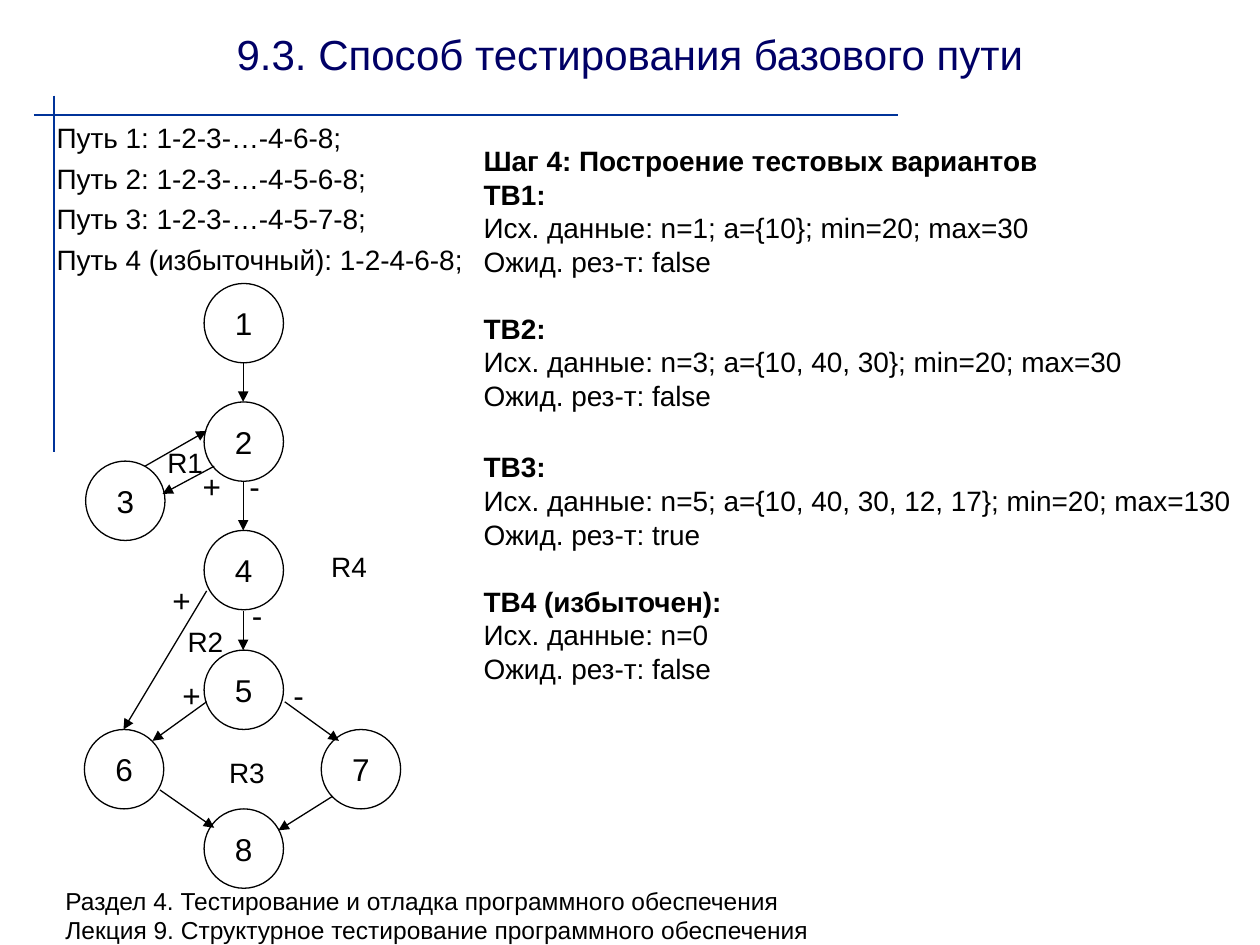
from lxml import etree
from pptx import Presentation
from pptx.dml.color import RGBColor
from pptx.enum.shapes import MSO_CONNECTOR, MSO_SHAPE
from pptx.enum.text import MSO_ANCHOR, PP_ALIGN
from pptx.oxml.ns import qn
from pptx.util import Inches, Pt

DIAMETER = 0.63
NODES = {
    "1": (1.62, 2.25), "2": (1.62, 3.19), "4": (1.62, 4.21), "3": (0.68, 3.66),
    "5": (1.62, 5.16), "8": (1.62, 6.42), "7": (2.55, 5.79), "6": (0.67, 5.79),
}
EDGES = [
    (1.93, 2.88, 1.93, 3.19), (1.93, 3.82, 1.93, 4.21), (1.15, 3.7, 1.64, 3.42),
    (1.7, 3.7, 1.29, 3.92), (1.93, 4.85, 1.93, 5.16), (1.64, 4.69, 0.98, 5.79),
    (2.26, 5.57, 2.69, 5.88), (1.64, 5.57, 1.21, 5.88), (1.27, 6.27, 1.7, 6.57),
    (2.64, 6.32, 2.21, 6.59),
]
BRANCHES = [
    ("+", 1.51, 3.66), ("+", 1.27, 4.56), ("+", 1.35, 5.32),
    ("-", 2.23, 5.32), ("-", 1.9, 4.68), ("-", 1.88, 3.66),
]
REGIONS = [("R1", 1.23, 3.49), ("R2", 1.39, 4.91), ("R3", 1.72, 5.95), ("R4", 2.53, 4.31)]
LABEL_WIDTHS = {"+": 0.34, "-": 0.28}
PATHS = [
    "Путь 1: 1-2-3-…-4-6-8;",
    "Путь 2: 1-2-3-…-4-5-6-8;",
    "Путь 3: 1-2-3-…-4-5-7-8;",
    "Путь 4 (избыточный): 1-2-4-6-8;",
]
TESTS = [
    ("ТВ1:", "n=1; a={10}; min=20; max=30", "false", 0),
    ("ТВ2:", "n=3; a={10, 40, 30}; min=20; max=30", "false", 19.2),
    ("ТВ3:", "n=5; a={10, 40, 30, 12, 17}; min=20; max=130", "true", 21.6),
    ("ТВ4 (избыточен):", "n=0", "false", 19.2),
]
FOOTER = [
    "Раздел 4. Тестирование и отладка программного обеспечения",
    "Лекция 9. Структурное тестирование программного обеспечения",
]


def rgb(value):
    """Turn a hex string into a colour."""
    return RGBColor.from_string(value)


def add_text(tf, text, size=16, color="000000", bold=False, align=PP_ALIGN.LEFT,
             before=0, leading=None):
    """Add one formatted paragraph, using the empty first one if there is one."""
    p = tf.paragraphs[0] if not tf.text else tf.add_paragraph()
    p.alignment = align
    p.space_before = Pt(before)
    if leading:
        p.line_spacing = Pt(leading)
    r = p.add_run()
    r.text = text
    r.font.name = "Arial"
    r.font.size = Pt(size)
    r.font.bold = bold
    r.font.color.rgb = rgb(color)


def add_box(s, x, y, w, h, wrap=True):
    """Add a text box and return its text frame."""
    tf = s.shapes.add_textbox(Inches(x), Inches(y), Inches(w), Inches(h)).text_frame
    tf.word_wrap = wrap
    return tf


def add_title(s, text):
    """Place and fill the title placeholder."""
    title = s.shapes.title
    title.left, title.top = Inches(0.5), Inches(0.08)
    title.width, title.height = Inches(9), Inches(0.69)
    title.text_frame.vertical_anchor = MSO_ANCHOR.MIDDLE
    add_text(title.text_frame, text, size=24, color="000066", align=PP_ALIGN.CENTER)


def add_line(s, x1, y1, x2, y2, color="000000", width=0.75, arrow=False):
    """Add a straight line, with an arrowhead at its end if asked."""
    line = s.shapes.add_connector(
        MSO_CONNECTOR.STRAIGHT, Inches(x1), Inches(y1), Inches(x2), Inches(y2))
    line.line.color.rgb = rgb(color)
    line.line.width = Pt(width)
    if arrow:
        etree.SubElement(line.line._get_or_add_ln(), qn("a:tailEnd"), type="triangle")
    etree.SubElement(line._element.spPr, qn("a:effectLst"))


def add_node(s, text, x, y):
    """Add a numbered circle of the flow graph."""
    sp = s.shapes.add_shape(
        MSO_SHAPE.OVAL, Inches(x), Inches(y), Inches(DIAMETER), Inches(DIAMETER))
    sp.shadow.inherit = False
    sp.fill.background()
    sp.line.color.rgb = rgb("000000")
    sp.line.width = Pt(0.75)
    tf = sp.text_frame
    tf.word_wrap = False
    tf.vertical_anchor = MSO_ANCHOR.MIDDLE
    add_text(tf, text, size=18, align=PP_ALIGN.CENTER)


def add_label(s, text, x, y, size, height):
    """Add a short centred label to the graph."""
    tf = add_box(s, x, y, LABEL_WIDTHS.get(text, 0.48), height, wrap=False)
    add_text(tf, text, size=size, align=PP_ALIGN.CENTER)


def add_graph(s):
    """Add the nodes, edges and labels of the flow graph."""
    for text, (x, y) in NODES.items():
        add_node(s, text, x, y)
    for edge in EDGES:
        add_line(s, *edge, arrow=True)
    for label in BRANCHES:
        add_label(s, *label, size=18, height=0.4)
    for label in REGIONS:
        add_label(s, *label, size=16, height=0.37)


def add_tests(s):
    """Add the list of test cases."""
    tf = add_box(s, 3.74, 1.09, 6.3, 5.2)
    add_text(tf, "Шаг 4: Построение тестовых вариантов", bold=True, leading=19.2)
    for name, data, result, gap in TESTS:
        add_text(tf, name, bold=True, before=gap, leading=19.2)
        add_text(tf, f"Исх. данные: {data}", leading=19.2)
        add_text(tf, f"Ожид. рез-т: {result}", leading=19.2)


def main():
    """Build the slide and save it."""
    prs = Presentation()
    prs.slide_width, prs.slide_height = Inches(10), Inches(7.5)
    s = prs.slides.add_slide(prs.slide_layouts[5])
    add_line(s, 0.27, 0.91, 7.13, 0.91, color="003399", width=1)
    add_line(s, 0.43, 0.76, 0.43, 3.59, color="003399", width=1)
    footer = add_box(s, 0.42, 6.98, 9.25, 0.52)
    for text in FOOTER:
        add_text(footer, text, size=14, leading=16.8)
    add_title(s, "9.3. Способ тестирования базового пути")
    paths = add_box(s, 0.35, 0.91, 3.79, 5.98)
    for text in PATHS:
        add_text(paths, text, before=4, leading=19.2)
    add_tests(s)
    add_graph(s)
    prs.save("out.pptx")


if __name__ == "__main__":
    main()
